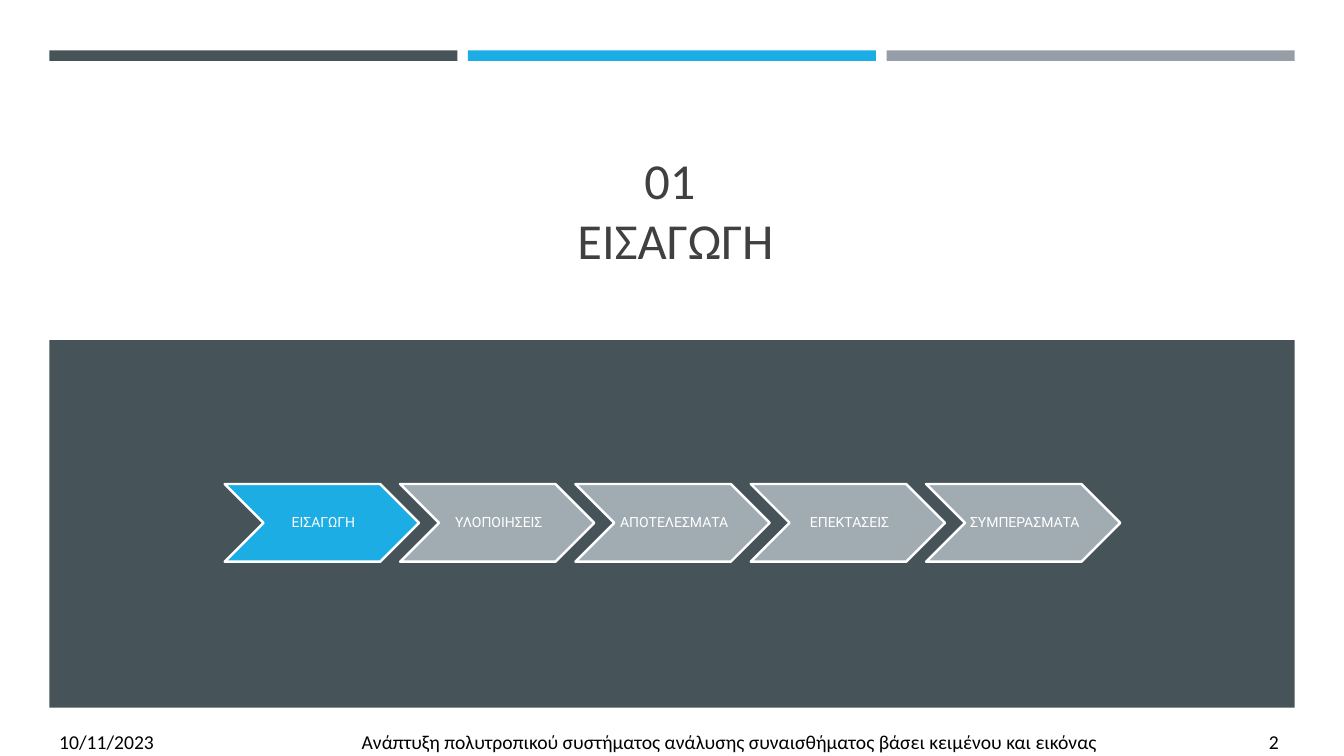
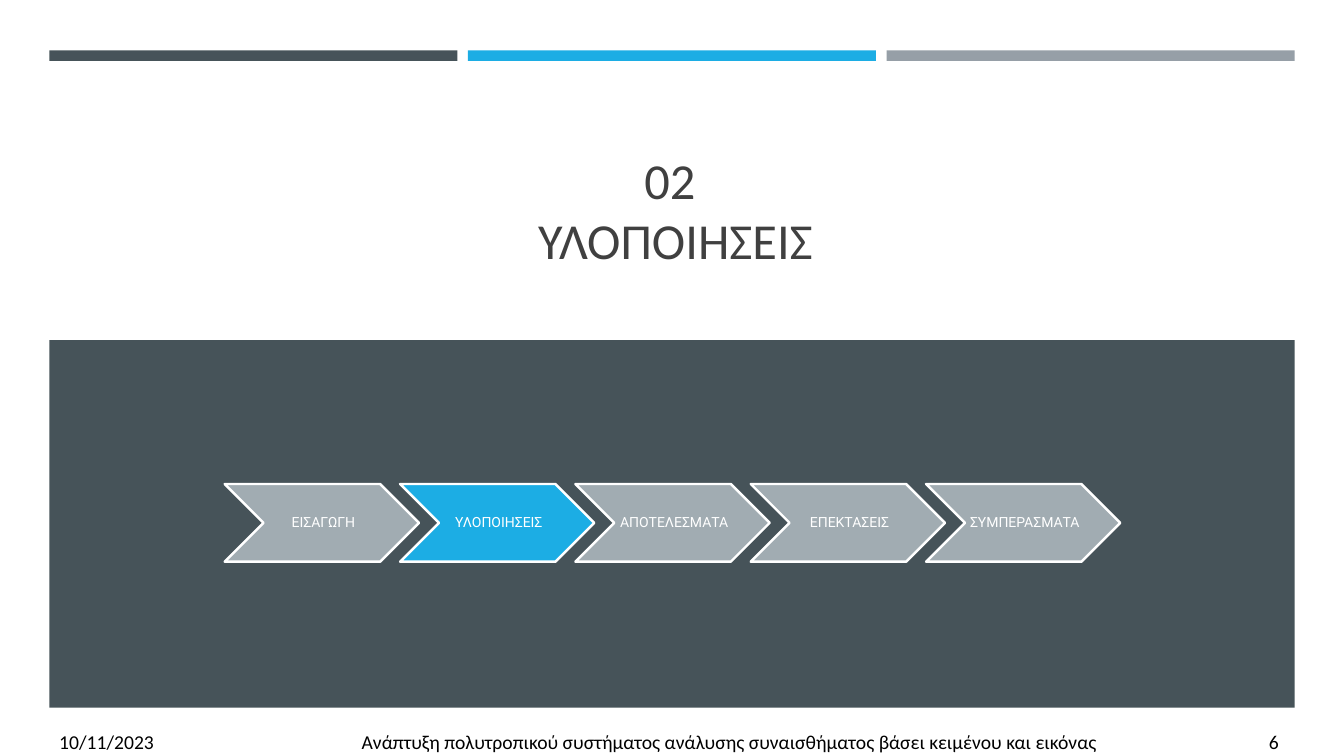
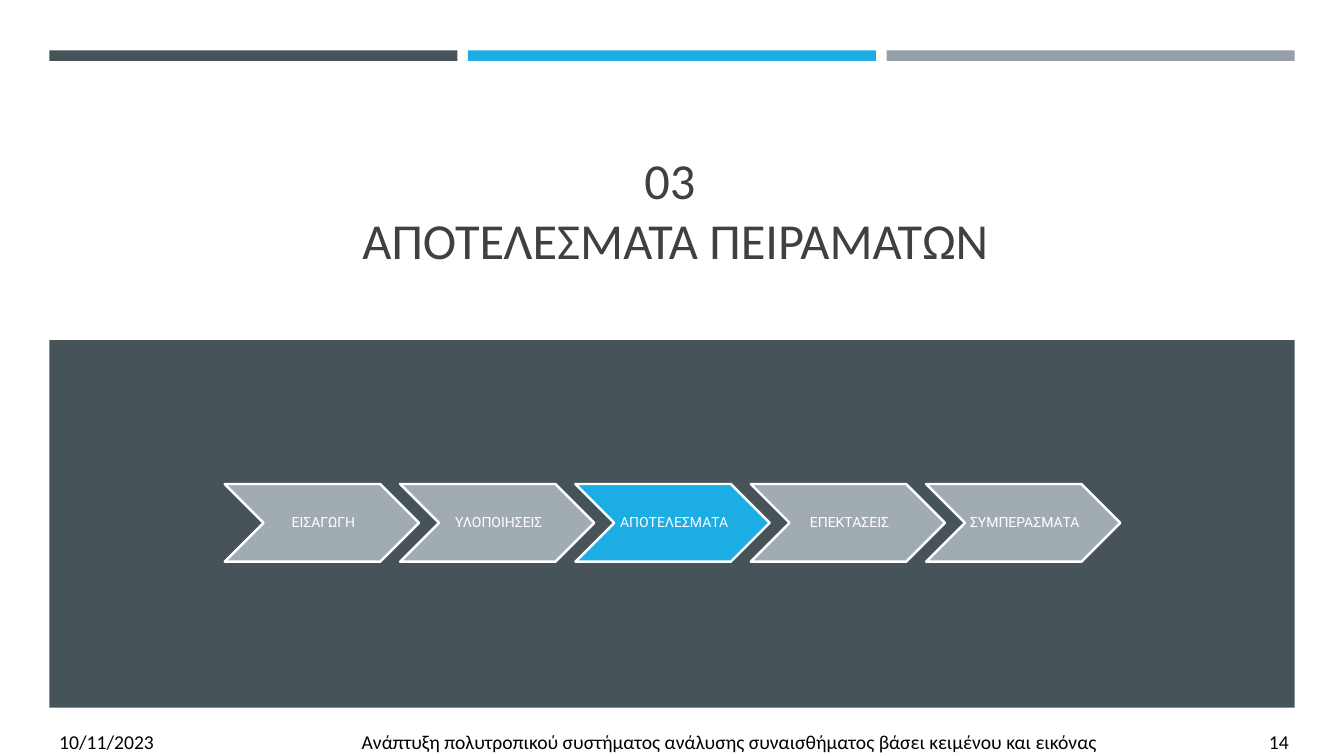
from dataclasses import dataclass

from lxml.etree import SubElement
from pptx import Presentation
from pptx.dml.color import RGBColor
from pptx.enum.shapes import MSO_SHAPE
from pptx.enum.text import MSO_ANCHOR, MSO_AUTO_SIZE, PP_ALIGN
from pptx.oxml.ns import qn
from pptx.util import Emu, Pt

DATE = "10/11/2023"
TOPIC = "Ανάπτυξη πολυτροπικού συστήματος ανάλυσης συναισθήματος βάσει κειμένου και εικόνας"
STEPS = ["ΕΙΣΑΓΩΓΗ", "ΥΛΟΠΟΙΗΣΕΙΣ", "ΑΠΟΤΕΛΕΣΜΑΤΑ", "ΕΠΕΚΤΑΣΕΙΣ", "ΣΥΜΠΕΡΑΣΜΑΤΑ"]
PARTS = [
    ("ΕΙΣΑΓΩΓΗ", 2),
    ("ΥΛΟΠΟΙΗΣΕΙΣ", 6),
    ("ΑΠΟΤΕΛΕΣΜΑΤΑ ΠΕΙΡΑΜΑΤΩΝ", 14),
]
LEFT, SPAN = 47, 1186


@dataclass(frozen=True)
class Theme:
    dark: str = "465359"
    blue: str = "1CADE4"
    gray: str = "969FA7"
    pale: str = "A1ACB2"
    ink: str = "404040"
    black: str = "000000"
    white: str = "FFFFFF"
    font: str = "Calibri"
    label: str = "Roboto"
    head: int = 36
    foot: int = 14
    small: int = 10
    edge: float = 1.75


def px(size):
    return Emu(round(size * 9525))


class Deck:
    def __init__(self, theme):
        self.theme = theme
        self.file = Presentation()
        self.file.slide_width = px(1280)
        self.file.slide_height = px(720)
        self.slide = None

    def start(self):
        self.slide = self.file.slides.add_slide(self.file.slide_layouts[5])

    def text(self, para, words, size, color, font):
        run = para.add_run()
        run.text = words
        run.font.size = Pt(size)
        run.font.name = font
        run.font.color.rgb = RGBColor.from_string(color)

    def shape(self, kind, x, y, w, h, fill, line=None):
        item = self.slide.shapes.add_shape(kind, px(x), px(y), px(w), px(h))
        item.shadow.inherit = False
        item.fill.solid()
        item.fill.fore_color.rgb = RGBColor.from_string(fill)
        if line:
            item.line.color.rgb = RGBColor.from_string(line)
            item.line.width = Pt(self.theme.edge)
        else:
            item.line.fill.background()
        return item

    def bands(self):
        look, gap = self.theme, 10
        fills = [look.dark, look.blue, look.gray]
        wide = (SPAN - gap * (len(fills) - 1)) / len(fills)
        for i, fill in enumerate(fills):
            self.shape(MSO_SHAPE.RECTANGLE, LEFT + i * (wide + gap), 48, wide, 10, fill)
        self.shape(MSO_SHAPE.RECTANGLE, LEFT, 324, SPAN, 350, look.dark)

    def title(self, lines):
        look, item = self.theme, self.slide.shapes.title
        item.left, item.top, item.width, item.height = px(61), px(107), px(1154), px(155)
        frame = item.text_frame
        frame.auto_size = MSO_AUTO_SIZE.NONE
        frame.vertical_anchor = MSO_ANCHOR.BOTTOM
        para = frame.paragraphs[0]
        para.alignment = PP_ALIGN.CENTER
        for i, line in enumerate(lines):
            if i:
                para.add_line_break()
            self.text(para, line, look.head, look.ink, look.font)

    def steps(self, names, active):
        look = self.theme
        for i, name in enumerate(names):
            fill = look.blue if i == active else look.pale
            item = self.shape(MSO_SHAPE.CHEVRON, 214 + i * 167, 461, 185, 74, fill, look.white)
            frame = item.text_frame
            frame.word_wrap = False
            frame.vertical_anchor = MSO_ANCHOR.MIDDLE
            frame.margin_left = px(4)
            frame.margin_right = frame.margin_top = frame.margin_bottom = px(1)
            para = frame.paragraphs[0]
            para.alignment = PP_ALIGN.CENTER
            para.line_spacing = 0.9
            self.text(para, name, look.small, look.white, look.label)

    def footer(self, cells):
        look = self.theme
        box = self.slide.shapes.add_textbox(px(LEFT), px(690), px(1192), px(33))
        box.text_frame.word_wrap = True
        para = box.text_frame.paragraphs[0]
        tabs = SubElement(para._p.get_or_add_pPr(), qn("a:tabLst"))
        for stop in (288, 1152):
            SubElement(tabs, qn("a:tab"), pos=str(px(stop)), algn="l")
        for i, cell in enumerate(cells):
            self.text(para, "\t" + cell if i else cell, look.foot, look.black, look.font)


def main():
    deck = Deck(Theme())
    for i, (name, page) in enumerate(PARTS):
        deck.start()
        deck.bands()
        deck.title([f"{i + 1:02}", " " + name])
        deck.steps(STEPS, i)
        deck.footer([DATE, TOPIC, str(page)])
    deck.file.save("out.pptx")


if __name__ == "__main__":
    main()
